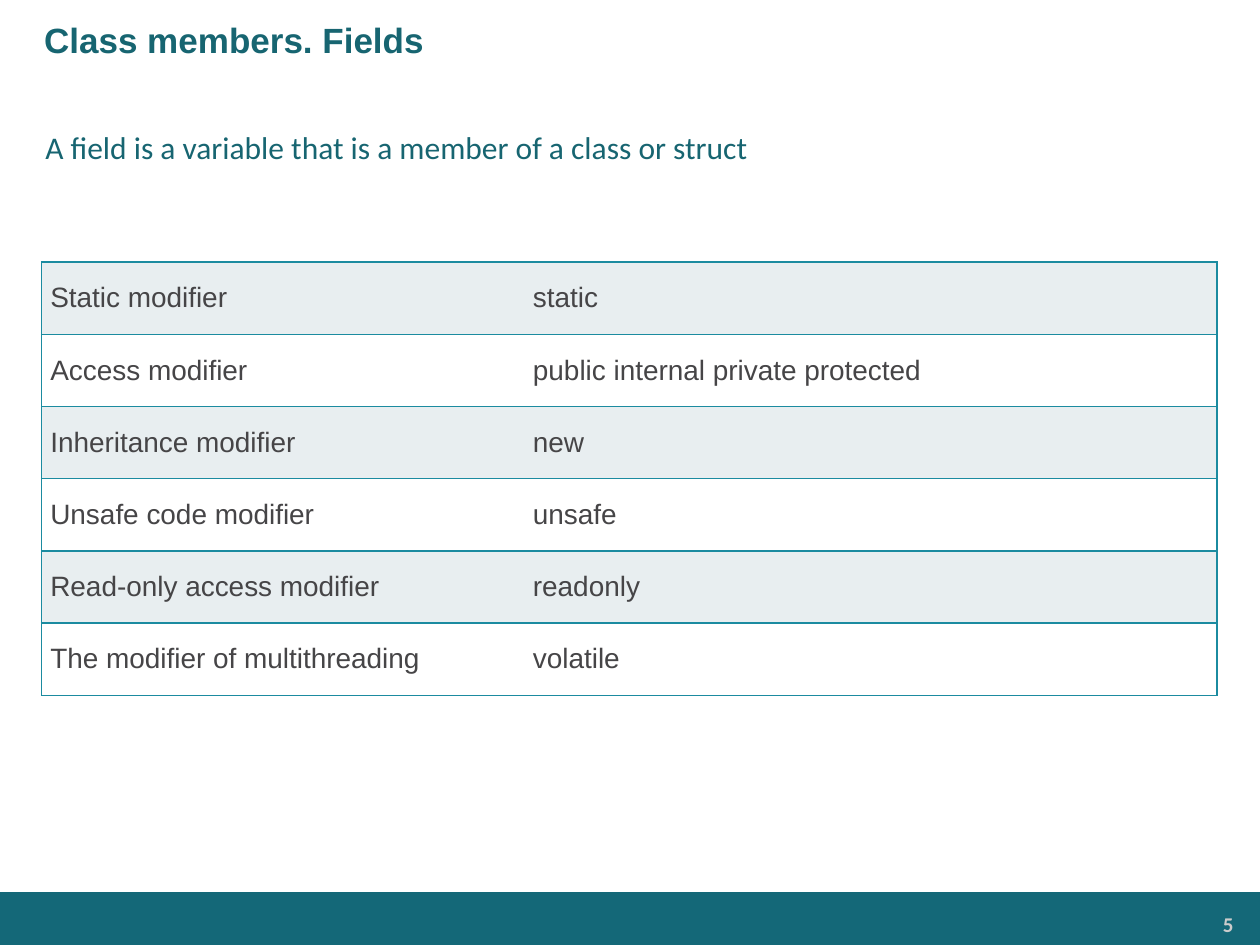
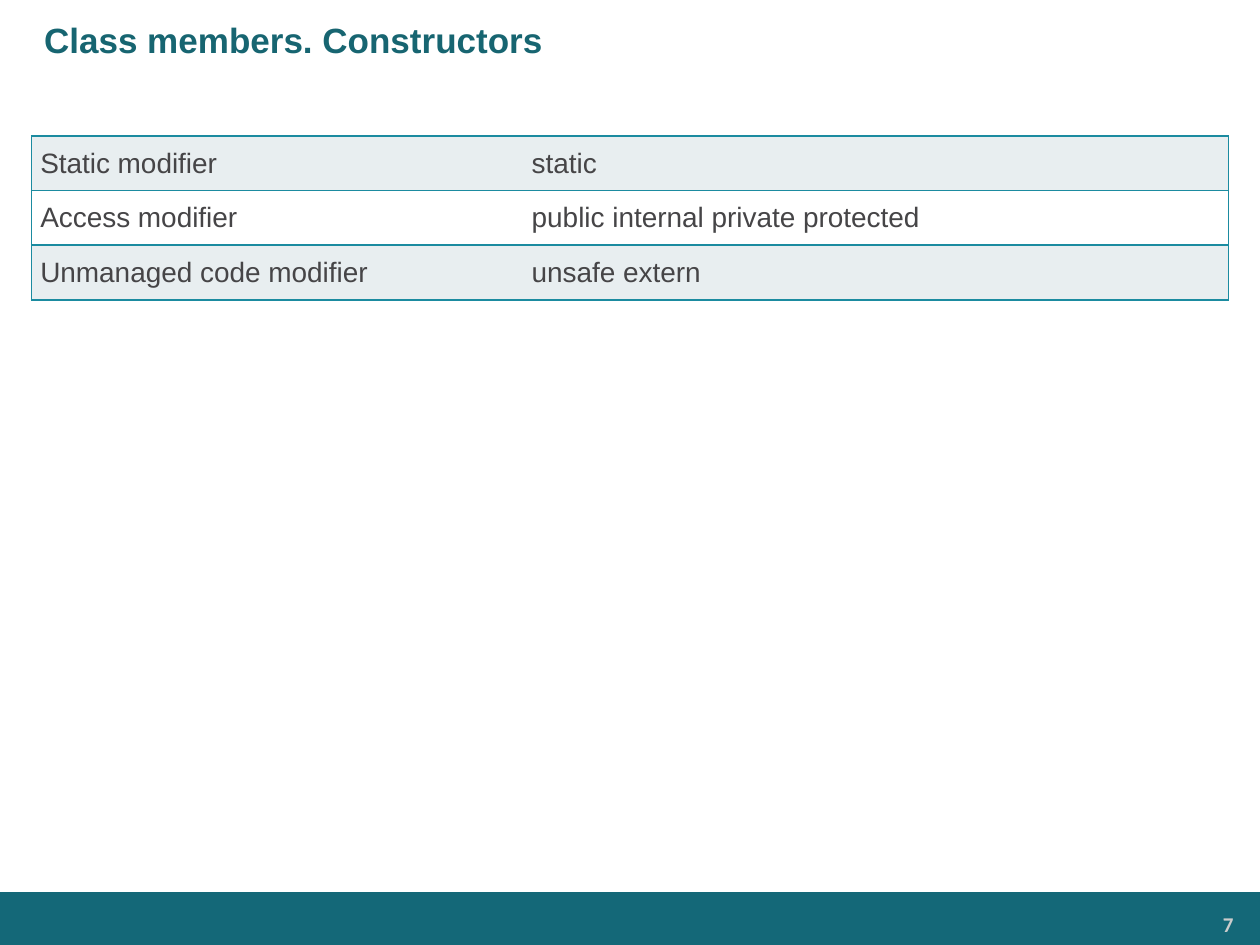
from dataclasses import dataclass

from lxml.etree import SubElement
from pptx import Presentation
from pptx.dml.color import RGBColor
from pptx.enum.shapes import MSO_SHAPE as Shape
from pptx.enum.text import MSO_ANCHOR as Anchor, PP_ALIGN as Align
from pptx.oxml.ns import qn
from pptx.util import Inches, Pt

BLANK_LAYOUT = 6


@dataclass(frozen=True)
class Theme:
    heading_font: str = "Arial"
    body_font: str = "Calibri"
    heading: str = "176571"
    footer: str = "146878"
    page_number: str = "CCCCCC"
    cell_text: str = "464547"
    border: str = "1B8BA0"
    row_fills: tuple = ("E8EEF0", "FFFFFF")
    title_size: int = 20
    lead_size: int = 18
    cell_size: int = 16
    number_size: int = 12
    border_width: int = 1


@dataclass(frozen=True)
class Box:
    left: float
    top: float
    width: float
    height: float

    def inches(self):
        return [Inches(n) for n in (self.left, self.top, self.width, self.height)]


THEME = Theme()
TITLE_BOX = Box(0, 0, 10, 0.63)
FOOTER_BOX = Box(0, 7.08, 10, 0.42)


def write_text(holder, text, font, size, color, bold=False, align=Align.LEFT):
    para = holder.text_frame.paragraphs[0]
    para.text = text
    para.alignment = align
    para.font.name = font
    para.font.size = Pt(size)
    para.font.bold = bold
    para.font.color.rgb = RGBColor.from_string(color)


def set_insets(holder, side, end):
    """Set the insets in inches; holder is a text frame or a table cell."""
    holder.margin_left = holder.margin_right = Inches(side)
    holder.margin_top = holder.margin_bottom = Inches(end)
    holder.vertical_anchor = Anchor.MIDDLE


def add_title(page, box, text):
    title = page.shapes.add_textbox(*box.inches())
    title.text_frame.word_wrap = True
    set_insets(title.text_frame, 0.35, 0.05)
    write_text(title, text, THEME.heading_font, THEME.title_size, THEME.heading, bold=True)


def add_footer(page, box, number):
    band = page.shapes.add_shape(Shape.RECTANGLE, *box.inches())
    band.shadow.inherit = False
    band.fill.solid()
    band.fill.fore_color.rgb = RGBColor.from_string(THEME.footer)
    band.line.fill.background()

    number_box = Box(box.left + 8.23, box.top + 0.11, 1.63, 0.28)
    label = page.shapes.add_textbox(*number_box.inches())
    label.text_frame.word_wrap = True
    set_insets(label.text_frame, 0.07, 0.04)
    write_text(label, str(number), THEME.body_font, THEME.number_size,
               THEME.page_number, bold=True, align=Align.RIGHT)


def add_lead(page, box, text):
    lead = page.shapes.add_shape(Shape.ROUNDED_RECTANGLE, *box.inches())
    lead.shadow.inherit = False
    lead.fill.background()
    lead.line.fill.background()
    set_insets(lead.text_frame, 0.13, 0.06)
    write_text(lead, text, THEME.body_font, THEME.lead_size, THEME.heading)


def set_borders(cell, visible_sides):
    """Draw the named sides (L, R, T, B) and hide the others; call before filling."""
    properties = cell._tc.get_or_add_tcPr()
    for side in "LRTB":
        line = SubElement(properties, qn(f"a:ln{side}"), w=str(Pt(THEME.border_width)))
        if side in visible_sides:
            fill = SubElement(line, qn("a:solidFill"))
            SubElement(fill, qn("a:srgbClr"), val=THEME.border)
        else:
            SubElement(line, qn("a:noFill"))


def add_modifier_table(page, box, name_width, modifiers):
    """Add rows of (modifier, keywords) that share the height of the box."""
    table = page.shapes.add_table(len(modifiers), 2, *box.inches()).table
    table.first_row = table.horz_banding = False
    table.columns[0].width = Inches(name_width)
    table.columns[1].width = Inches(box.width - name_width)
    for index, texts in enumerate(modifiers):
        table.rows[index].height = Inches(box.height / len(modifiers))
        row_fill = THEME.row_fills[index % 2]
        for column, (text, sides) in enumerate(zip(texts, ("LTB", "RTB"))):
            cell = table.cell(index, column)
            set_borders(cell, sides)
            cell.fill.solid()
            cell.fill.fore_color.rgb = RGBColor.from_string(row_fill)
            set_insets(cell, 0.07, 0.05)
            write_text(cell, text, THEME.heading_font, THEME.cell_size, THEME.cell_text)


def add_page(deck, title, number):
    page = deck.slides.add_slide(deck.slide_layouts[BLANK_LAYOUT])
    add_footer(page, FOOTER_BOX, number)
    add_title(page, TITLE_BOX, title)
    return page


def add_fields_page(deck):
    page = add_page(deck, "Class members. Fields", 5)
    add_lead(page, Box(0.19, 0.75, 9.63, 0.83),
             "A field is a variable that is a member of a class or struct")
    add_modifier_table(page, Box(0.33, 2.08, 9.33, 3.44), 3.83, [
        ("Static modifier", "static"),
        ("Access modifier", "public internal private protected"),
        ("Inheritance modifier", "new"),
        ("Unsafe code modifier", "unsafe"),
        ("Read-only access modifier", "readonly"),
        ("The modifier of multithreading", "volatile"),
    ])


def add_constructors_page(deck):
    page = add_page(deck, "Class members. Constructors", 7)
    add_modifier_table(page, Box(0.25, 1.08, 9.5, 1.3), 3.9, [
        ("Static modifier", "static"),
        ("Access modifier", "public internal private protected"),
        ("Unmanaged code modifier", "unsafe extern"),
    ])


def main():
    deck = Presentation()
    deck.slide_width, deck.slide_height = Inches(10), Inches(7.5)
    add_fields_page(deck)
    add_constructors_page(deck)
    deck.save("out.pptx")


if __name__ == "__main__":
    main()
